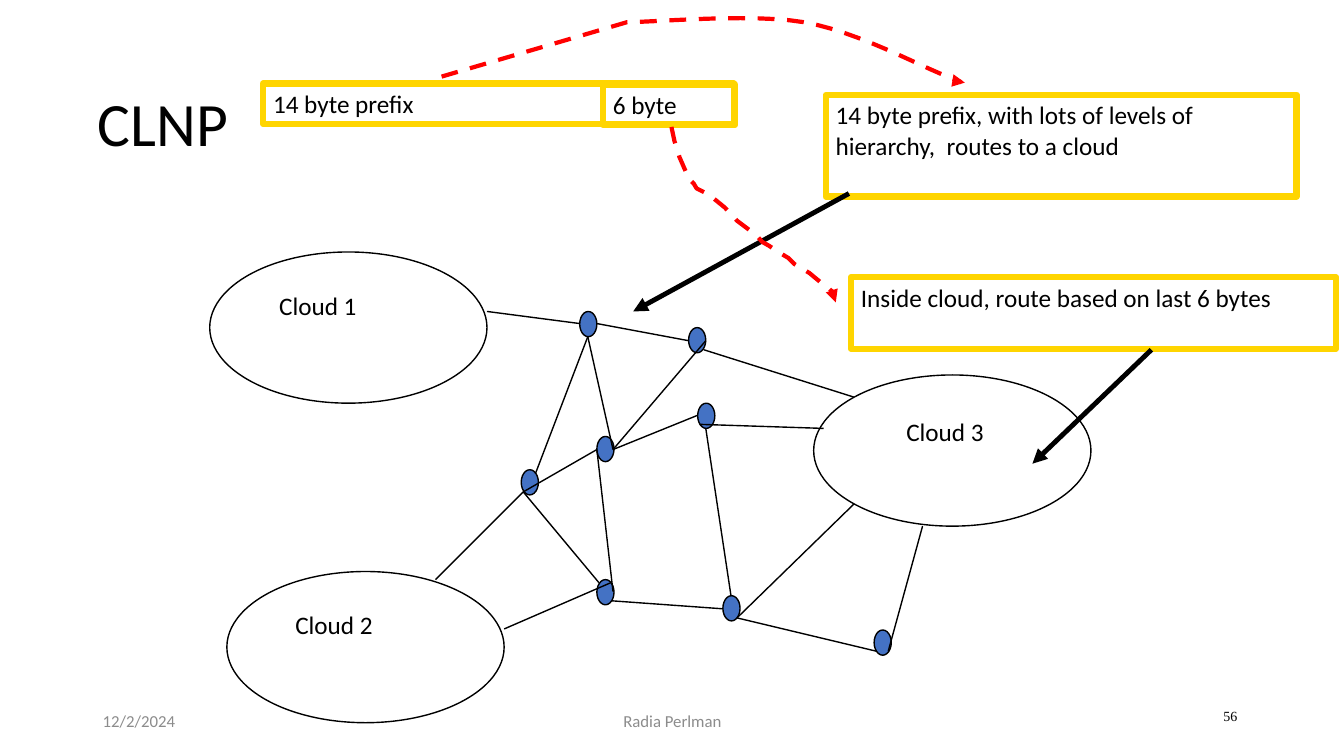
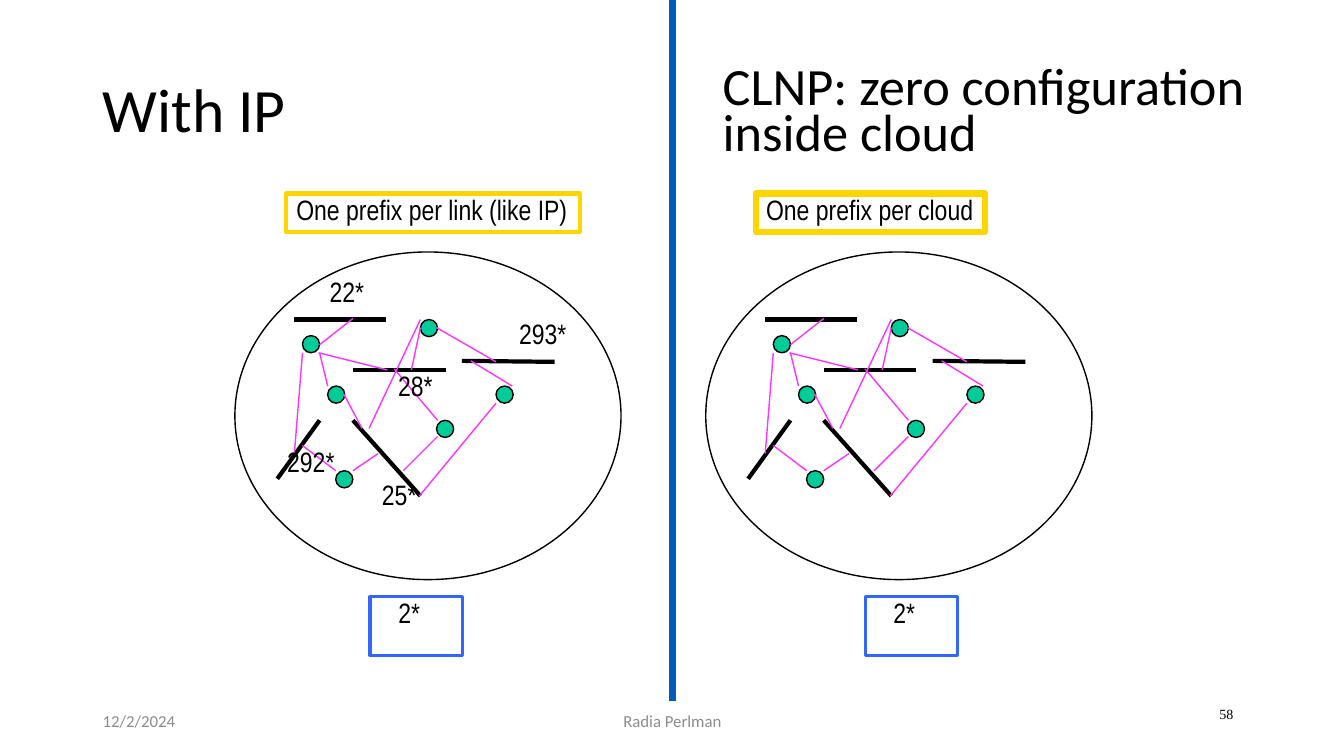
from pptx import Presentation
from pptx.dml.color import RGBColor
from pptx.enum.dml import MSO_LINE
from pptx.enum.shapes import MSO_CONNECTOR, MSO_SHAPE
from pptx.enum.text import MSO_ANCHOR, MSO_AUTO_SIZE, PP_ALIGN
from pptx.oxml.ns import qn
from pptx.util import Inches, Pt
from lxml.etree import SubElement

COLORS = {"ink": "000000", "gray": "8C8C8C", "gold": "FFD500", "blue": "4472C4",
          "green": "00CC99", "pink": "FF33FF", "frame": "3366FF",
          "divider": "005BBB", "red": "FF0000"}
BODY, NARROW, SERIF = "Calibri", "Arial Narrow", "Times New Roman"

# Footer: text, box, alignment
FOOTER = [("12/2/2024", (0.92, 6.95, 3, 0.4), PP_ALIGN.LEFT),
          ("Radia Perlman", (4.42, 6.95, 4.5, 0.4), PP_ALIGN.CENTER)]

# Slide 1: clouds (name, oval corner, label corner), routers and links
CLOUD_SIZE = (2.75, 1.5)
CLOUDS = [("Cloud 1", (2.08, 2.5), (2.67, 2.83)),
          ("Cloud 2", (2.25, 5.67), (2.83, 6)),
          ("Cloud 3", (8.07, 3.72), (8.89, 4.08))]
ROUTER_SIZE = (0.17, 0.25)
ROUTERS = [(5.75, 3.09), (6.83, 3.25), (5.92, 4.33), (6.92, 4),
           (5.17, 4.66), (5.92, 5.75), (7.17, 5.91), (8.67, 6.25)]
ROUTER_LINKS = [
    (4.83, 3.09, 5.75, 3.21), (6.83, 3.38, 5.92, 3.21), (6.08, 4.46, 6.92, 4.12),
    (5.83, 3.34, 6.08, 4.46), (5.83, 3.34, 5.31, 4.7), (4.32, 5.75, 5.19, 4.88),
    (6.06, 5.78, 5, 6.24), (5.92, 4.46, 6.08, 5.87), (5.19, 4.88, 5.94, 5.78),
    (5.19, 4.88, 5.92, 4.46), (6.06, 5.96, 7.17, 6.04), (7, 4.25, 7.25, 5.91),
    (8.69, 6.46, 7.31, 6.13), (7.31, 6.13, 8.47, 5), (8.81, 6.46, 9.15, 5.22),
    (6.94, 4.21, 8.17, 4.25), (6.98, 3.47, 8.47, 3.94), (7, 3.38, 6.08, 4.46)]
NOTES = [("14 byte prefix, with lots of levels of hierarchy,  routes to a cloud",
          (8.19, 0.94, 4.67, 1.01)),
         ("Inside cloud, route based on last 6 bytes", (8.44, 2.75, 4.81, 0.71))]
NOTE_ARROWS = [(8.42, 1.92, 6.28, 3.09), (11.42, 3.47, 10.24, 4.6)]
ADDRESS_PARTS = [("14 byte prefix", (2.61, 0.83, 4.67, 0.4)),
                 ("6 byte", (5.98, 0.84, 1.31, 0.4))]
# Prefix arrow: straight start, then cubic curves (control, control, end)
PREFIX_START = [(4.38, 0.76), (6.22, 0.22)]
PREFIX_CURVES = [((6.51, 0.22), (7.44, 0.13), (7.97, 0.22)),
                 ((8.5, 0.31), (9.13, 0.66), (9.4, 0.76)),
                 ((9.66, 0.87), (9.62, 0.84), (9.57, 0.82))]
SUFFIX_POINTS = [
    (6.66, 1.26), (6.69, 1.4), (6.74, 1.56), (6.81, 1.72), (6.82, 1.76),
    (6.88, 1.82), (6.91, 1.87), (7.03, 1.93), (7.19, 2.06), (7.31, 2.19),
    (7.43, 2.28), (7.49, 2.32), (7.56, 2.4), (7.63, 2.44), (7.72, 2.5),
    (7.82, 2.56), (7.88, 2.62), (8.03, 2.71), (8.15, 2.81), (8.21, 2.85),
    (8.24, 2.88), (8.28, 2.91), (8.29, 3)]

# Slide 2: one network, drawn on each side of the divider
SIDE_SHIFTS = (0, 4.67)
NETWORK_OVAL = (2.33, 2.5, 3.83, 3.25)
SEGMENTS = [(2.92, 3.17, 3.83, 3.17), (3.5, 3.67, 4.42, 3.67), (4.58, 3.58, 5.5, 3.59),
            (3.5, 4.17, 4.17, 4.92), (3.17, 4.17, 2.75, 4.75)]
NODE_SIZE = 0.17
NODES = [(4.33, 4.17), (4.17, 3.17), (4.92, 3.83), (3, 3.33), (3.25, 3.83), (3.33, 4.67)]
NODE_LINKS = [
    (3, 4.42, 3.33, 4.67), (3.17, 3.5, 3.25, 3.83), (2.92, 4.5, 3, 3.5),
    (3.75, 4.5, 3.5, 4.67), (4.17, 3.25, 4.08, 3.67), (4.92, 3.59, 4.33, 3.25),
    (4.34, 4.17, 3.91, 3.66), (4.92, 4, 4.16, 4.92), (4.34, 4.33, 4, 4.67),
    (3.84, 3.67, 3.16, 3.5), (3.17, 3.42, 3.5, 3.16), (4.17, 3.17, 3.66, 4.25),
    (3.59, 4.25, 3.41, 3.91), (4.67, 3.58, 5.08, 3.83)]
CAPTIONS = [("One prefix per link (like IP)", (2.84, 1.92, 2.91, 0.38), 3),
            ("One prefix per cloud", (7.5, 1.92, 2.27, 0.38), 4.5)]
LINK_PREFIXES = [("25*", (3.69, 4.75, 0.54, 0.38)), ("28*", (3.85, 3.67, 0.54, 0.38)),
                 ("292*", (2.75, 4.42, 0.67, 0.38)), ("22*", (3.17, 2.73, 0.54, 0.38)),
                 ("293*", (5.05, 3.15, 0.67, 0.38))]
CLOUD_PREFIX = "2*"
PREFIX_FRAMES = [(3.67, 5.92, 0.92, 0.58), (8.58, 5.92, 0.92, 0.58)]


def color(name):
    return RGBColor.from_string(COLORS[name])


def lengths(values):
    return [Inches(value) for value in values]


def set_text(shape, text, size, font=BODY, ink="ink", align=PP_ALIGN.LEFT,
             anchor=MSO_ANCHOR.TOP, spacing=None, wrap=True, left_inset=0.1):
    frame = shape.text_frame
    frame.word_wrap = wrap
    frame.auto_size = MSO_AUTO_SIZE.NONE
    frame.vertical_anchor = anchor
    frame.margin_left, frame.margin_right = Inches(left_inset), Inches(0.1)
    frame.margin_top = frame.margin_bottom = Inches(0.05)
    para = frame.paragraphs[0]
    para.text = text
    para.alignment = align
    para.line_spacing = spacing
    para.font.size, para.font.name = Pt(size), font
    para.font.color.rgb = color(ink)


def add_text(page, text, box, size, **style):
    set_text(page.shapes.add_textbox(*lengths(box)), text, size, **style)


def add_title(page, text, box, size=44, spacing=0.9):
    add_text(page, text, box, size, anchor=MSO_ANCHOR.MIDDLE, spacing=spacing)


def add_outline(page, kind, box, line="ink", width=1, fill=None):
    shape = page.shapes.add_shape(kind, *lengths(box))
    shape.shadow.inherit = False
    if fill:
        shape.fill.solid()
        shape.fill.fore_color.rgb = color(fill)
    else:
        shape.fill.background()
    shape.line.color.rgb = color(line)
    shape.line.width = Pt(width)
    return shape


def add_arrowhead(shape):
    SubElement(shape.line._get_or_add_ln(), qn("a:tailEnd"), type="triangle")


def add_line(page, ends, line="ink", width=1, arrow=False):
    connector = page.shapes.add_connector(MSO_CONNECTOR.STRAIGHT, *lengths(ends))
    connector.line.color.rgb = color(line)
    connector.line.width = Pt(width)
    if arrow:
        add_arrowhead(connector)
    SubElement(connector._element.spPr, qn("a:effectLst"))


def add_dashed_arrow(page, points):
    start, *rest = [lengths(point) for point in points]
    builder = page.shapes.build_freeform(*start)
    builder.add_line_segments(rest, close=False)
    arrow = builder.convert_to_shape()
    arrow.shadow.inherit = False
    arrow.fill.background()
    arrow.line.color.rgb = color("red")
    arrow.line.width = Pt(3)
    arrow.line.dash_style = MSO_LINE.DASH
    add_arrowhead(arrow)


def trace_curves(points, curves, steps=12):
    """Extend points with evenly stepped samples of each cubic curve."""
    traced = list(points)
    for curve in curves:
        controls = (traced[-1], *curve)
        for step in range(1, steps + 1):
            t = step / steps
            weights = ((1 - t) ** 3, 3 * t * (1 - t) ** 2, 3 * t * t * (1 - t), t ** 3)
            traced.append(tuple(sum(weight * point[axis]
                                    for weight, point in zip(weights, controls))
                                for axis in (0, 1)))
    return traced


def add_page(deck, number, number_corner):
    page = deck.slides.add_slide(deck.slide_layouts[6])
    for text, box, align in FOOTER:
        add_text(page, text, box, 12, ink="gray", align=align, anchor=MSO_ANCHOR.MIDDLE)
    add_text(page, number, (*number_corner, 2.89, 0.5), 10, font=SERIF,
             align=PP_ALIGN.RIGHT, anchor=MSO_ANCHOR.MIDDLE)
    return page


def build_clnp(deck):
    page = add_page(deck, "56", (9.48, 6.85))
    add_title(page, "CLNP", (0.87, 0.53, 11.5, 1.45))
    # Clouds joined by routers
    for name, corner, label_corner in CLOUDS:
        add_outline(page, MSO_SHAPE.OVAL, corner + CLOUD_SIZE)
        add_text(page, name, (*label_corner, 1.28, 0.5), 18)
    for corner in ROUTERS:
        add_outline(page, MSO_SHAPE.OVAL, corner + ROUTER_SIZE, fill="blue")
    for ends in ROUTER_LINKS:
        add_line(page, ends)
    # Address parts and what each one does
    for text, box in NOTES + ADDRESS_PARTS:
        set_text(add_outline(page, MSO_SHAPE.RECTANGLE, box, "gold", 4.5), text, 18)
    for ends in NOTE_ARROWS:
        add_line(page, ends, width=3.5, arrow=True)
    add_dashed_arrow(page, trace_curves(PREFIX_START, PREFIX_CURVES))
    add_dashed_arrow(page, SUFFIX_POINTS)


def add_network(page, shift):
    def shifted(ends):
        return ends[0] + shift, ends[1], ends[2] + shift, ends[3]

    for ends in SEGMENTS:
        add_line(page, shifted(ends), width=3)
    left, top, width, height = NETWORK_OVAL
    add_outline(page, MSO_SHAPE.OVAL, (left + shift, top, width, height))
    for left, top in NODES:
        add_outline(page, MSO_SHAPE.OVAL, (left + shift, top, NODE_SIZE, NODE_SIZE),
                    fill="green")
    for ends in NODE_LINKS:
        add_line(page, shifted(ends), "pink")


def build_comparison(deck):
    page = add_page(deck, "58", (9.44, 6.83))
    add_title(page, "With IP", (0.92, 0.4, 3.08, 1.45), spacing=0.84)
    add_title(page, "CLNP: zero configuration inside cloud", (7.07, 0.41, 5.8, 1.45),
              size=37.4, spacing=0.74)
    for shift in SIDE_SHIFTS:
        add_network(page, shift)
    # Captions and prefixes
    label = {"size": 20, "font": NARROW, "spacing": 0.82, "wrap": False}
    for text, box, width in CAPTIONS:
        set_text(add_outline(page, MSO_SHAPE.RECTANGLE, box, "gold", width), text, **label)
    for text, box in LINK_PREFIXES:
        add_text(page, text, box, **label)
    for box in PREFIX_FRAMES:
        frame = add_outline(page, MSO_SHAPE.RECTANGLE, box, "frame", 2.25)
        set_text(frame, CLOUD_PREFIX, left_inset=0.28, **label)
    add_line(page, (6.67, 0, 6.67, 6.95), "divider", 4.5)


def main():
    deck = Presentation()
    deck.slide_width, deck.slide_height = Inches(13.33), Inches(7.5)
    build_clnp(deck)
    build_comparison(deck)
    deck.save("out.pptx")


if __name__ == "__main__":
    main()
